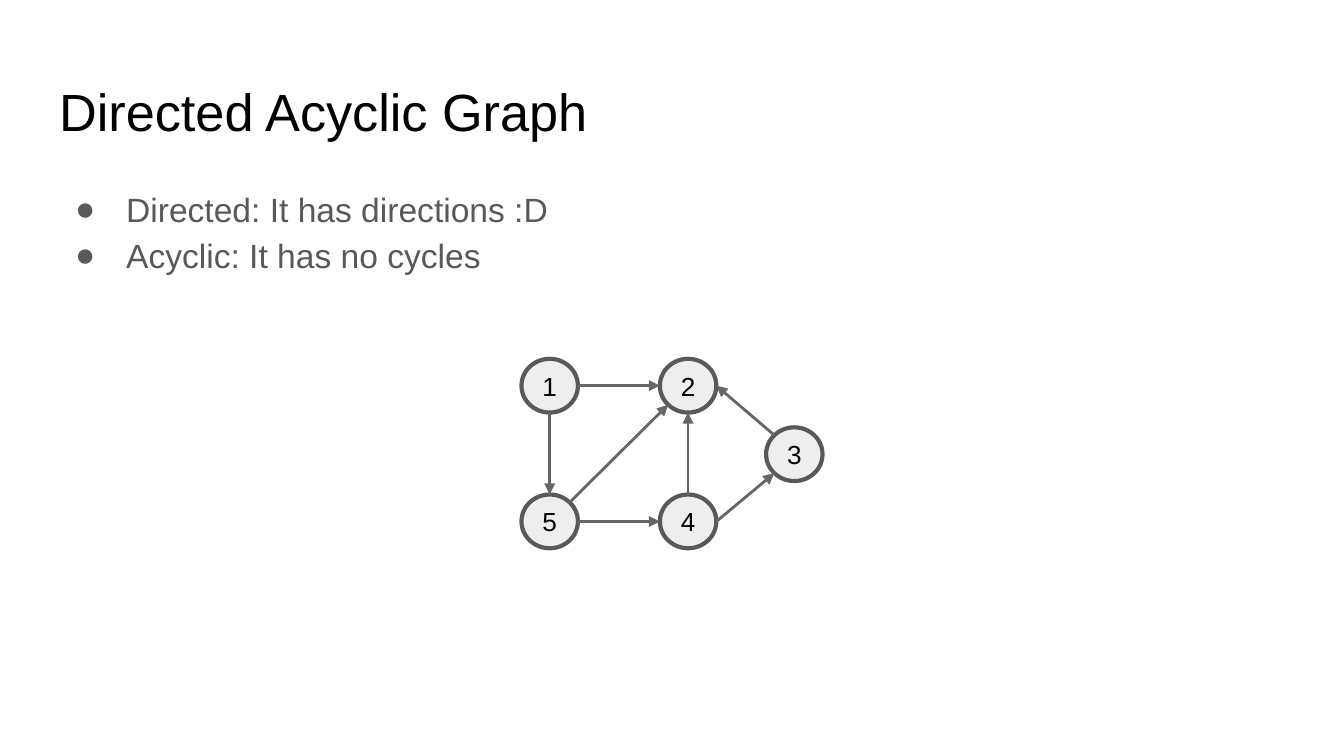
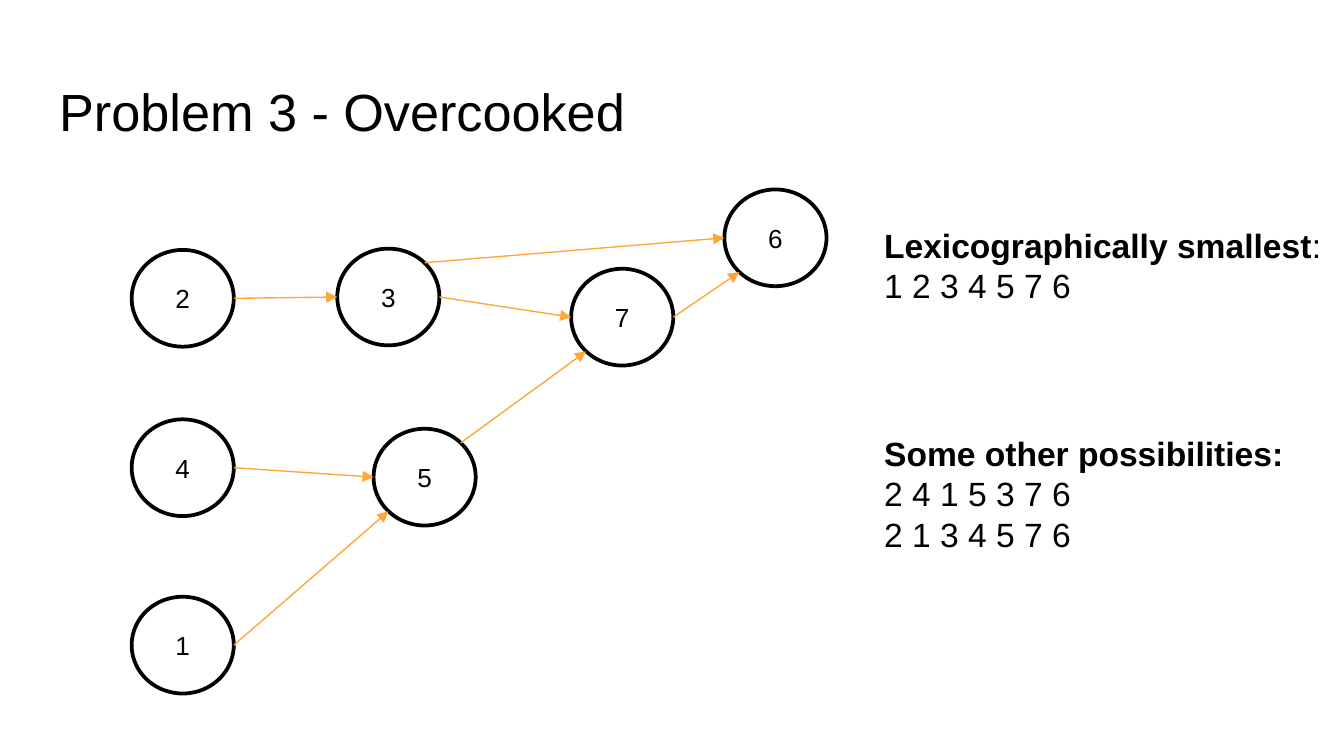
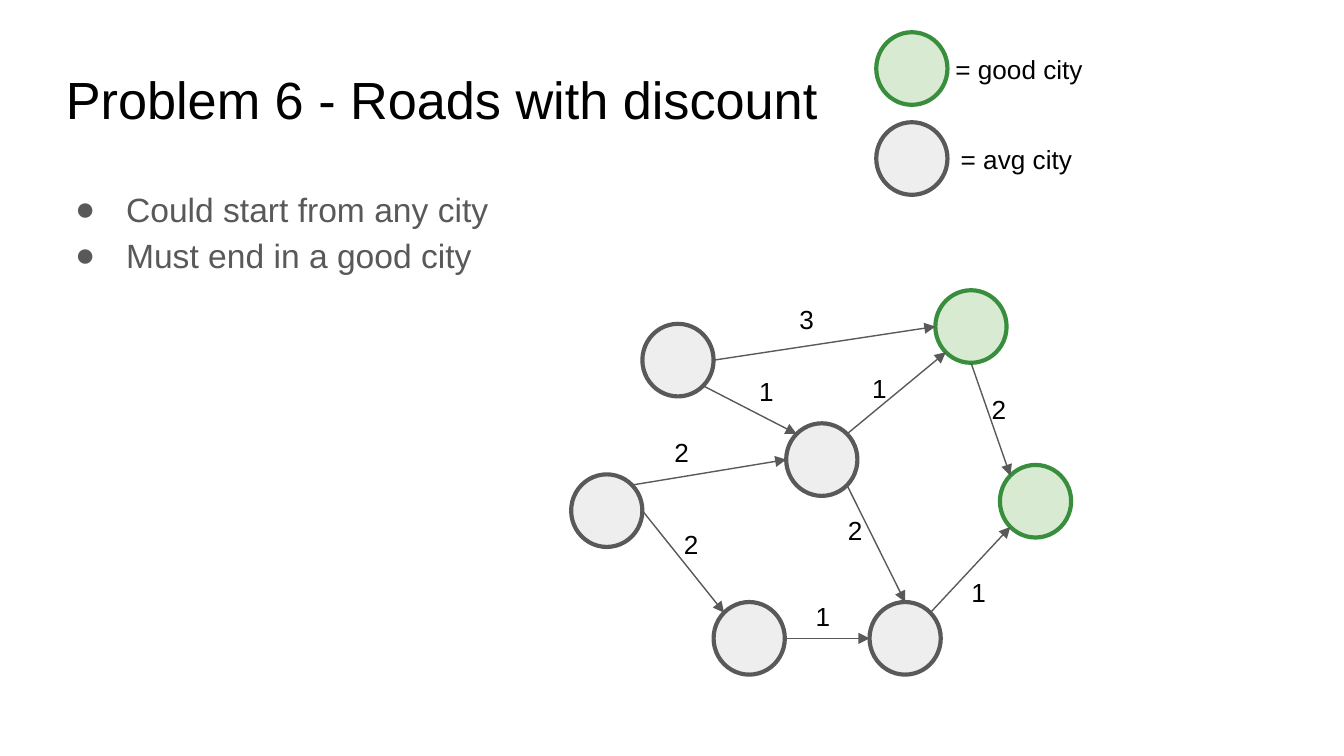
from dataclasses import dataclass
from math import sqrt
from typing import Optional

import pptx
import pptx.dml.color
import pptx.enum.shapes
import pptx.enum.text
import pptx.oxml
import pptx.oxml.ns
import pptx.util
from lxml import etree

Inches = pptx.util.Inches
Pt = pptx.util.Pt
RGBColor = pptx.dml.color.RGBColor
ANCHOR = pptx.enum.text.MSO_ANCHOR
ALIGN = pptx.enum.text.PP_ALIGN
qn = pptx.oxml.ns.qn

BLACK = RGBColor(0x00, 0x00, 0x00)
GRAY = RGBColor(0x59, 0x59, 0x59)
EDGE_GRAY = RGBColor(0x66, 0x66, 0x66)
PALE_GRAY = RGBColor(0xEE, 0xEE, 0xEE)
GREEN = RGBColor(0x38, 0x8E, 0x3C)
PALE_GREEN = RGBColor(0xD9, 0xEA, 0xD3)
ORANGE = RGBColor(0xFD, 0xA7, 0x39)

FONT = "Arial"
SLIDE_WIDTH = Inches(10)
SLIDE_HEIGHT = SLIDE_WIDTH * 9 // 16
TITLE_BOX = (0.34, 0.49, 9.32, 0.63)
DIAGONAL = sqrt(0.5)
SITES = {
    "n": (0, -1), "s": (0, 1), "e": (1, 0), "w": (-1, 0),
    "ne": (DIAGONAL, -DIAGONAL), "nw": (-DIAGONAL, -DIAGONAL),
    "se": (DIAGONAL, DIAGONAL), "sw": (-DIAGONAL, DIAGONAL),
}


@dataclass
class NodeStyle:
    width: float
    height: float
    line: RGBColor
    line_width: float
    fill: Optional[RGBColor] = None
    insets: tuple = (0, 0)


SMALL_NODE = NodeStyle(0.42, 0.4, GRAY, 2.25, PALE_GRAY)
OUTLINE_NODE = NodeStyle(0.76, 0.72, BLACK, 2, insets=(0.1, 0.05))
AVG_CITY = NodeStyle(0.53, 0.54, GRAY, 2.25, PALE_GRAY)
GOOD_CITY = NodeStyle(0.53, 0.54, GREEN, 2.25, PALE_GREEN)


def inches(values):
    return [Inches(v) for v in values]


def add_bullet(p):
    pPr = p._p.get_or_add_pPr()
    pPr.set("marL", str(Inches(0.5)))
    pPr.set("indent", str(Inches(-0.38)))
    color = etree.SubElement(etree.SubElement(pPr, qn("a:buClr")), qn("a:srgbClr"))
    color.set("val", str(GRAY))
    etree.SubElement(pPr, qn("a:buSzPts")).set("val", "1800")
    etree.SubElement(pPr, qn("a:buFont")).set("typeface", FONT)
    etree.SubElement(pPr, qn("a:buChar")).set("char", "●")


def write_text(sp, lines, size=14, color=BLACK, align=ALIGN.LEFT, anchor=ANCHOR.TOP,
               insets=(0.1, 0.1), bold_first=False, bullets=False, spacing=None):
    tf = sp.text_frame
    tf.word_wrap = True
    tf.auto_size = pptx.enum.text.MSO_AUTO_SIZE.NONE
    tf.vertical_anchor = anchor
    tf.margin_left = tf.margin_right = Inches(insets[0])
    tf.margin_top = tf.margin_bottom = Inches(insets[1])
    for i, line in enumerate(lines):
        p = tf.paragraphs[0] if i == 0 else tf.add_paragraph()
        p.alignment = align
        if spacing:
            p.line_spacing = spacing
        if bullets:
            add_bullet(p)
        runs = [line] if isinstance(line, str) else line
        for j, text in enumerate(runs):
            r = p.add_run()
            r.text = text
            r.font.name = FONT
            r.font.size = Pt(size)
            r.font.color.rgb = color
            r.font.bold = bold_first and i == 0 and j == 0


def add_text(shapes, box, lines, **fmt):
    write_text(shapes.add_textbox(*inches(box)), lines, **fmt)


def add_bullets(slide, box, lines):
    add_text(slide.shapes, box, lines, size=18, color=GRAY, bullets=True, spacing=1.15)


def add_title_slide(prs, title, box=TITLE_BOX):
    slide = prs.slides.add_slide(prs.slide_layouts[5])
    sp = slide.shapes.title
    sp.left, sp.top, sp.width, sp.height = inches(box)
    write_text(sp, [title], size=28)
    return slide


def add_node(shapes, left, top, style, label=""):
    sp = shapes.add_shape(pptx.enum.shapes.MSO_SHAPE.OVAL,
                          *inches((left, top, style.width, style.height)))
    sp.shadow.inherit = False
    if style.fill is None:
        sp.fill.background()
    else:
        sp.fill.solid()
        sp.fill.fore_color.rgb = style.fill
    sp.line.color.rgb = style.line
    sp.line.width = Pt(style.line_width)
    if label:
        write_text(sp, [label], align=ALIGN.CENTER, anchor=ANCHOR.MIDDLE,
                   insets=style.insets)


def add_arrow(shapes, start, end, color, width):
    cxn = shapes.add_connector(pptx.enum.shapes.MSO_CONNECTOR.STRAIGHT,
                               *inches(start + end))
    cxn.line.color.rgb = color
    cxn.line.width = Pt(width)
    spPr = cxn._element.spPr
    etree.SubElement(spPr.get_or_add_ln(), qn("a:tailEnd")).set("type", "triangle")
    etree.SubElement(spPr, qn("a:effectLst"))


def add_graph(shapes, origin, nodes, edges, style, edge_color, edge_width,
              labelled=True, special=None):
    x0, y0 = origin
    special = special or {}

    def site(name, side):
        node_style = special.get(name, style)
        x, y = nodes[name]
        dx, dy = SITES[side]
        return (x0 + x + node_style.width * (1 + dx) / 2,
                y0 + y + node_style.height * (1 + dy) / 2)

    for name, (x, y) in nodes.items():
        add_node(shapes, x0 + x, y0 + y, special.get(name, style),
                 name if labelled else "")
    for source, out_side, target, in_side in edges:
        add_arrow(shapes, site(source, out_side), site(target, in_side),
                  edge_color, edge_width)


def add_weights(slide, origin, weights):
    for weight, x, y in weights:
        add_text(slide.shapes, (origin[0] + x, origin[1] + y, 0.38, 0.44), [weight])


def add_legend(slide, origin):
    x, y = origin
    rows = [(GOOD_CITY, "= good city", 0.49), (AVG_CITY, "= avg city", 0.53)]
    for i, (style, text, text_x) in enumerate(rows):
        top = y + 0.67 * i
        add_node(slide.shapes, x, top, style)
        add_text(slide.shapes, (x + text_x, top + 0.06, 1.17, 0.44), [text])


def build_dag(prs):
    slide = add_title_slide(prs, "Directed Acyclic Graph")
    add_bullets(slide, (0.34, 1.26, 9.32, 0.92),
                ["Directed: It has directions :D", "Acyclic: It has no cycles"])
    nodes = {"1": (0, 0), "5": (0, 1.01), "2": (1.03, 0), "4": (1.03, 1.01),
             "3": (1.82, 0.51)}
    edges = [("1", "e", "2", "w"), ("1", "s", "5", "n"), ("5", "ne", "2", "sw"),
             ("5", "e", "4", "w"), ("4", "n", "2", "s"), ("4", "e", "3", "sw"),
             ("3", "nw", "2", "e")]
    add_graph(slide.shapes, (3.88, 2.67), nodes, edges, SMALL_NODE, EDGE_GRAY, 1.5)


def build_overcooked(prs):
    slide = add_title_slide(prs, "Problem 3 - Overcooked")
    add_text(slide.shapes, (6.48, 1.57, 3.61, 0.88),
             [("Lexicographically smallest", ":"), "1 2 3 4 5 7 6"],
             size=18, bold_first=True)
    add_text(slide.shapes, (6.48, 3.12, 3.39, 1.51),
             ["Some other possibilities:", "2 4 1 5 3 7 6", "2 1 3 4 5 7 6"],
             size=18, bold_first=True)
    nodes = {"2": (0, 0.45), "5": (1.8, 1.78), "1": (0, 3.03), "4": (0, 1.71),
             "3": (1.53, 0.44), "7": (3.27, 0.59), "6": (4.41, 0)}
    edges = [("2", "e", "3", "w"), ("4", "e", "5", "w"), ("1", "e", "5", "sw"),
             ("3", "e", "7", "w"), ("5", "ne", "7", "sw"), ("7", "e", "6", "sw"),
             ("3", "ne", "6", "w")]
    group = slide.shapes.add_group_shape()
    add_graph(group.shapes, (0.98, 1.41), nodes, edges, OUTLINE_NODE, ORANGE, 0.75)


def build_roads(prs):
    slide = add_title_slide(prs, "Problem 6 - Roads with discount", (0.39, 0.4, 9.32, 0.63))
    add_legend(slide, (6.52, 0.24))
    add_bullets(slide, (0.34, 1.26, 3.71, 3.74),
                ["Could start from any city", "Must end in a good city"])
    origin = (4.25, 2.16)
    nodes = {"top": (0.53, 0.25), "left": (0, 1.37), "middle": (1.6, 0.99),
             "bottom left": (1.06, 2.32), "bottom right": (2.22, 2.32),
             "good top": (2.71, 0), "good right": (3.19, 1.3)}
    edges = [("top", "se", "middle", "nw"), ("top", "e", "good top", "w"),
             ("good top", "s", "good right", "nw"),
             ("bottom left", "e", "bottom right", "w"),
             ("left", "e", "bottom left", "nw"), ("left", "ne", "middle", "w"),
             ("middle", "se", "bottom right", "n"),
             ("middle", "ne", "good top", "sw"),
             ("bottom right", "ne", "good right", "sw")]
    add_graph(slide.shapes, origin, nodes, edges, AVG_CITY, GRAY, 0.75, labelled=False,
              special={"good top": GOOD_CITY, "good right": GOOD_CITY})
    add_weights(slide, origin, [
        ("3", 1.6, 0), ("1", 1.3, 0.53), ("2", 0.67, 0.99), ("2", 0.74, 1.67),
        ("1", 1.72, 2.21), ("2", 1.96, 1.57), ("1", 2.14, 0.51), ("2", 3.03, 0.67),
        ("1", 2.88, 2.03)])


def main():
    prs = pptx.Presentation()
    prs.slide_width, prs.slide_height = SLIDE_WIDTH, SLIDE_HEIGHT
    build_dag(prs)
    build_overcooked(prs)
    build_roads(prs)
    prs.save("out.pptx")


if __name__ == "__main__":
    main()
